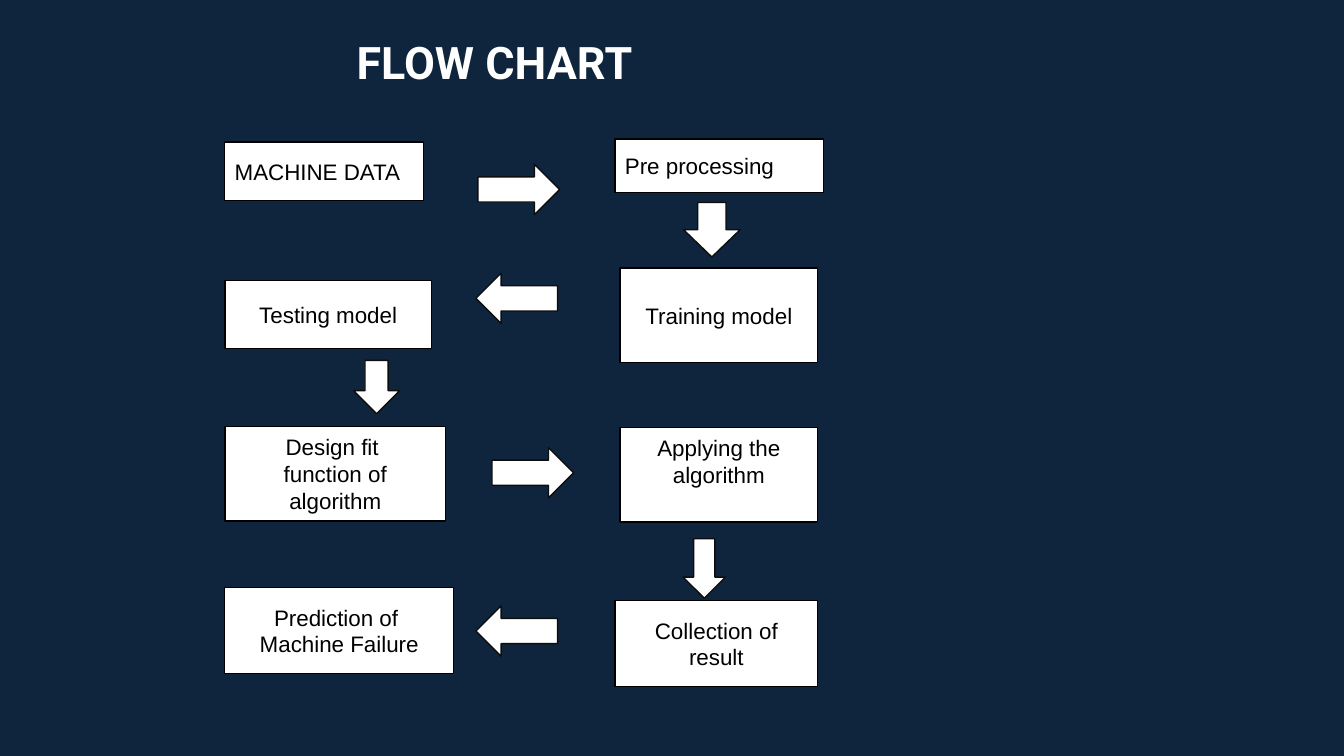
from dataclasses import dataclass

from pptx import Presentation
from pptx.dml.color import RGBColor
from pptx.enum.shapes import MSO_SHAPE
from pptx.enum.text import MSO_ANCHOR, MSO_AUTO_SIZE, PP_ALIGN
from pptx.shapes.autoshape import Shape
from pptx.slide import Slide
from pptx.text.text import TextFrame
from pptx.util import Emu, Pt

NAVY = RGBColor(0x0F, 0x25, 0x3E)
WHITE = RGBColor(0xFF, 0xFF, 0xFF)
BLACK = RGBColor(0x00, 0x00, 0x00)
CHARCOAL = RGBColor(0x0D, 0x0D, 0x0D)

EMU_PER_PX = 9144
LEFT_COLUMN = 223
INSET = 5
LINE_HEIGHT = 27
ARROW_LENGTH = 81
ARROW_THICKNESS = 50
RIGHT, DOWN, LEFT = 0, 90, 180


@dataclass(frozen=True)
class Step:
    text: str
    left: int
    top: int
    width: int
    height: int
    alignment: PP_ALIGN = PP_ALIGN.CENTER
    bottom_inset: int = INSET


@dataclass(frozen=True)
class Arrow:
    left: int
    top: int
    direction: int
    length: int = ARROW_LENGTH
    thickness: int = ARROW_THICKNESS


STEPS = [
    Step("MACHINE DATA", LEFT_COLUMN, 141, 197, 58, PP_ALIGN.LEFT),
    Step("Pre processing", 610, 138, 207, 53, PP_ALIGN.LEFT),
    Step("Training model", 615, 266, 196, 94),
    Step("Testing model", LEFT_COLUMN, 278, 205, 68),
    Step("Design fit \nfunction of algorithm", LEFT_COLUMN, 423, 219, 94),
    Step("Applying the algorithm", 615, 424, 196, 94, bottom_inset=INSET + LINE_HEIGHT),
    Step("Collection of result", 610, 596, 201, 85),
    Step("Prediction of \nMachine Failure", LEFT_COLUMN, 583, 227, 85),
]

ARROWS = [
    Arrow(474, 163, RIGHT),
    Arrow(679, 200, DOWN, 54, 56),
    Arrow(472, 271, LEFT),
    Arrow(347, 361, DOWN, 53, 46),
    Arrow(488, 444, RIGHT),
    Arrow(669, 543, DOWN, 59, 42),
    Arrow(472, 601, LEFT),
]


def px(length: int) -> Emu:
    return Emu(length * EMU_PER_PX)


def paint(shape: Shape, outline: RGBColor) -> None:
    shape.shadow.inherit = False
    shape.fill.solid()
    shape.fill.fore_color.rgb = WHITE
    shape.line.color.rgb = outline
    shape.line.width = Pt(1)


def write(
    text_frame: TextFrame,
    text: str,
    alignment: PP_ALIGN,
    font_name: str,
    size: int,
    color: RGBColor,
    bold: bool = False,
) -> None:
    text_frame.word_wrap = True
    text_frame.text = text
    for paragraph in text_frame.paragraphs:
        paragraph.alignment = alignment
        for run in paragraph.runs:
            run.font.name = font_name
            run.font.size = Pt(size)
            run.font.bold = bold
            run.font.color.rgb = color


def draw_title(slide: Slide) -> None:
    title = slide.shapes.add_textbox(px(164), px(30), px(653), px(64))
    write(title.text_frame, "FLOW CHART", PP_ALIGN.CENTER, "Roboto", 32, WHITE, True)
    title.text_frame.auto_size = MSO_AUTO_SIZE.SHAPE_TO_FIT_TEXT


def draw_step(slide: Slide, step: Step) -> None:
    shape = slide.shapes.add_shape(
        MSO_SHAPE.RECTANGLE, px(step.left), px(step.top), px(step.width), px(step.height)
    )
    paint(shape, BLACK)
    text_frame = shape.text_frame
    text_frame.vertical_anchor = MSO_ANCHOR.MIDDLE
    text_frame.margin_bottom = px(step.bottom_inset)
    write(text_frame, step.text, step.alignment, "Arial", 16, BLACK)


def draw_arrow(slide: Slide, arrow: Arrow) -> None:
    shape = slide.shapes.add_shape(
        MSO_SHAPE.RIGHT_ARROW,
        px(arrow.left),
        px(arrow.top),
        px(arrow.length),
        px(arrow.thickness),
    )
    shape.rotation = arrow.direction
    paint(shape, CHARCOAL)


def main() -> None:
    presentation = Presentation()
    presentation.slide_width = px(1333)
    presentation.slide_height = px(750)
    slide = presentation.slides.add_slide(presentation.slide_layouts[6])
    slide.background.fill.solid()
    slide.background.fill.fore_color.rgb = NAVY
    for step in STEPS:
        draw_step(slide, step)
    for arrow in ARROWS:
        draw_arrow(slide, arrow)
    draw_title(slide)
    presentation.save("out.pptx")


if __name__ == "__main__":
    main()
